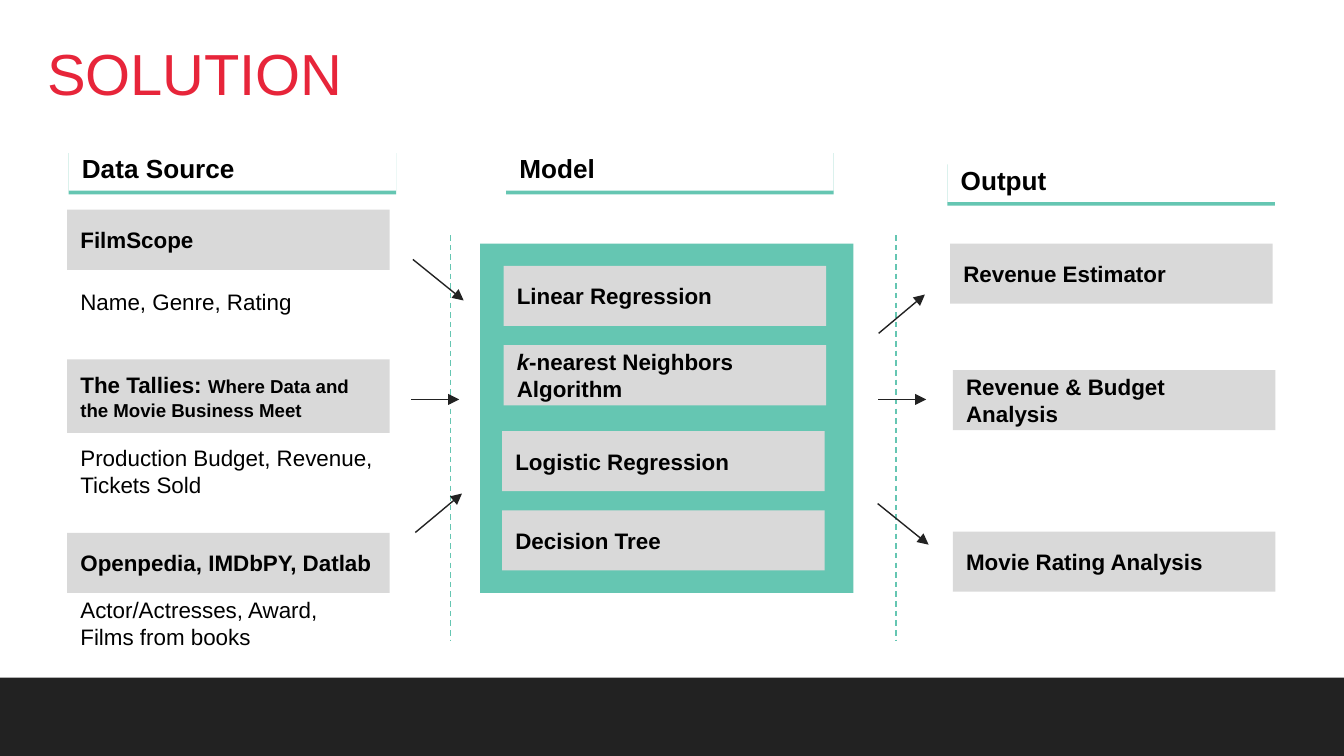
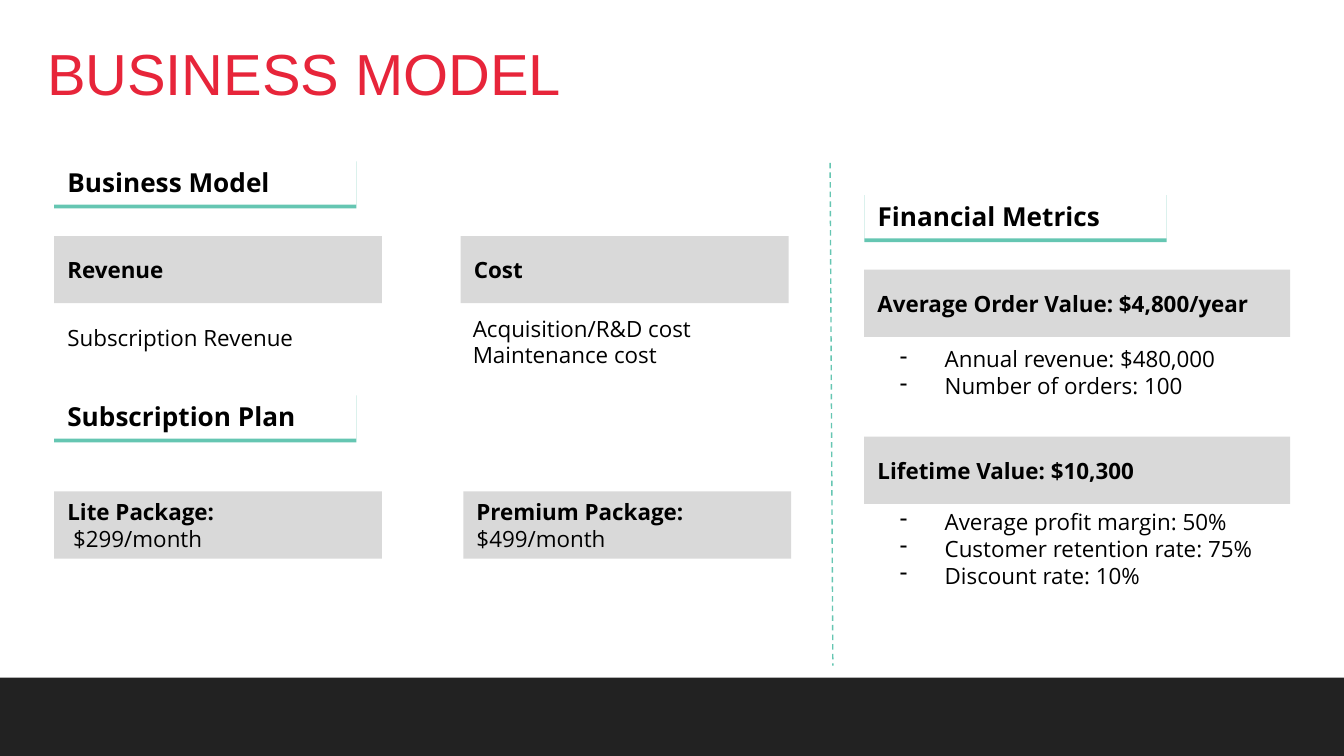
from lxml.etree import SubElement
from pptx import Presentation
from pptx.dml.color import RGBColor
from pptx.enum.dml import MSO_LINE_DASH_STYLE as Dash
from pptx.enum.shapes import MSO_CONNECTOR_TYPE as Link, MSO_SHAPE as Shape
from pptx.enum.text import MSO_ANCHOR as Anchor, MSO_AUTO_SIZE as Fit, PP_ALIGN as Align
from pptx.oxml.ns import qn
from pptx.util import Pt

RED, TEAL, GREY, DARK, WHITE, BLACK = "E7253A", "65C6B2", "D9D9D9", "222222", "FFFFFF", "000000"
WIDTH, HEIGHT = 720, 405


def color(code):
    """Turn a hex string into a colour."""
    return RGBColor.from_string(code)


class SlideBuilder:
    """Holds the shared style and the slide being built."""

    def __init__(self, deck):
        """Choose the title-only layout and the starting style."""
        self.deck = deck
        self.layout = deck.slide_layouts[5]
        self.page = None
        self.font = "Arial"
        self.band_pending = True

    def start(self, title, font):
        """Add a slide with its title and choose its body font."""
        self.page = self.deck.slides.add_slide(self.layout)
        if self.band_pending:
            band = self.block((-0.5, 363, WIDTH + 1, 42.5), DARK)
            self.layout.shapes.element.insert(2, band.element)
            self.band_pending = False
        box = self.page.shapes.title
        box.left, box.top, box.width, box.height = map(Pt, (22.3, 24.5, 675.4, 30.2))
        self.font = "Arial"
        self.set_text(box, [title], 31, code=RED, anchor=Anchor.TOP, inset=(2.9, 2.9))
        box.text_frame.paragraphs[0].line_spacing = 0.8
        self.font = font

    def set_text(self, box, paragraphs, size, bold=False, code=BLACK,
                 anchor=Anchor.MIDDLE, inset=(7.2, 7.2), dashes=False):
        """Fill a box with paragraphs, each a string or a list of (text, changes)."""
        frame = box.text_frame
        side, edge = map(Pt, inset)
        frame_format = {"word_wrap": True, "auto_size": Fit.NONE, "vertical_anchor": anchor,
                        "margin_left": side, "margin_right": side,
                        "margin_top": edge, "margin_bottom": edge}
        for name, value in frame_format.items():
            setattr(frame, name, value)
        for index, content in enumerate(paragraphs):
            para = frame.add_paragraph() if index else frame.paragraphs[0]
            para.alignment = Align.LEFT
            runs = [(content, {})] if isinstance(content, str) else content
            for text, changes in runs:
                span = para.add_run()
                span.text = text
                span.font.color.rgb = color(code)
                run_format = {"name": self.font, "size": Pt(size), "bold": bold} | changes
                for name, value in run_format.items():
                    setattr(span.font, name, value)
            if dashes:
                self.dash_bullet(para)

    def dash_bullet(self, para):
        """Give a paragraph a hanging dash."""
        props = para._p.get_or_add_pPr()
        props.set("marL", str(Pt(36)))
        props.set("indent", str(Pt(-24)))
        SubElement(SubElement(props, qn("a:buClr")), qn("a:srgbClr"), val=BLACK)
        SubElement(props, qn("a:buChar"), char="-")

    def block(self, place, fill):
        """Draw a plain filled rectangle."""
        box = self.page.shapes.add_shape(Shape.RECTANGLE, *map(Pt, place))
        box.shadow.inherit = False
        box.fill.solid()
        box.fill.fore_color.rgb = color(fill)
        box.line.fill.background()
        return box

    def card(self, place, *paragraphs):
        """Draw a grey card with bold text."""
        self.set_text(self.block(place, GREY), paragraphs, 12, bold=True)

    def heading(self, place, text):
        """Draw a section heading underlined by its hard teal shadow."""
        box = self.block(place, WHITE)
        effects = box.element.spPr.find(qn("a:effectLst"))
        shadow = SubElement(effects, qn("a:outerShdw"), blurRad="0", dist=str(Pt(2)),
                            dir="5400000", algn="bl", rotWithShape="0")
        SubElement(shadow, qn("a:srgbClr"), val=TEAL)
        self.set_text(box, [text], 14, bold=True, anchor=Anchor.BOTTOM, inset=(7.2, 3.6))

    def note(self, place, *paragraphs, dashes=False):
        """Add plain text without a fill."""
        box = self.page.shapes.add_textbox(*map(Pt, place))
        self.set_text(box, paragraphs, 12, dashes=dashes)

    def line(self, ends, code):
        """Draw a thin straight line and return it with its outline element."""
        connector = self.page.shapes.add_connector(Link.STRAIGHT, *map(Pt, ends))
        connector.line.color.rgb = color(code)
        connector.line.width = Pt(0.75)
        props = connector.element.spPr
        SubElement(props, qn("a:effectLst"))
        return connector, props.find(qn("a:ln"))

    def divider(self, *ends):
        """Draw a dashed teal divider."""
        connector, _ = self.line(ends, TEAL)
        connector.line.dash_style = Dash.DASH

    def arrow(self, *ends):
        """Draw a dark arrow."""
        _, outline = self.line(ends, DARK)
        SubElement(outline, qn("a:tailEnd"), type="triangle")


def build_solution(slide):
    """Build the flow from data sources through models to outputs."""
    slide.start("SOLUTION", "Arial")
    slide.block((257.2, 130.5, 200, 187.2), TEAL)
    for left, top, text in [(36.8, 80, "Data Source"), (271.2, 80, "Model"), (507.6, 86, "Output")]:
        slide.heading((left, top, 175.4, 22.2), text)

    tagline = ("Where Data and the Movie Business Meet", {"size": Pt(10)})
    sources = [
        (112.4, 32.2, "FilmScope", 147.8, 27, "Name, Genre, Rating"),
        (192.5, 39.5, [("The Tallies: ", {}), tagline],
         236.3, 32.2, "Production Budget, Revenue, Tickets Sold"),
        (285.5, 32.2, "Openpedia, IMDbPY, Datlab",
         317.8, 32.2, "Actor/Actresses, Award, Films from books"),
    ]
    for top, height, name, note_top, note_height, fields in sources:
        slide.card((36, top, 172.8, height), name)
        slide.note((36, note_top, 172.8, note_height), fields)

    neighbors = [("k", {"italic": True}), ("-nearest Neighbors Algorithm", {})]
    cards = [
        (269.8, 142.5, "Linear Regression"), (269.8, 185, neighbors),
        (269, 231, "Logistic Regression"), (269, 273.5, "Decision Tree"),
        (509, 130.5, "Revenue Estimator"), (510.5, 198.3, "Revenue & Budget Analysis"),
        (510.5, 284.8, "Movie Rating Analysis"),
    ]
    for left, top, text in cards:
        slide.card((left, top, 172.8, 32.2), text)

    for x in (241.5, 480):
        slide.divider(x, 126, x, 343.4)
    arrows = [
        (221.2, 139, 248.4, 161), (220.2, 214, 246, 214), (222.5, 285.3, 247.5, 264.4),
        (470.7, 178.6, 495.5, 157.8), (470.4, 214, 496.2, 214), (470.2, 269.8, 497.5, 291.8),
    ]
    for ends in arrows:
        slide.arrow(*ends)


def build_business_model(slide):
    """Build the revenue, plan and metrics overview."""
    slide.start("BUSINESS MODEL", "Open Sans")
    slide.divider(444.7, 87.2, 446.2, 356.6)
    for left, top, text in [(29, 84.5, "Business Model"), (29, 209.8, "Subscription Plan"),
                            (463, 102.5, "Financial Metrics")]:
        slide.heading((left, top, 162, 25.2), text)

    plain = {"bold": False}
    cards = [
        (29, 126.5, 175.7, ["Revenue"]),
        (246.8, 126.5, 175.7, ["Cost"]),
        (29, 263.3, 175.7, ["Lite Package:", [(" $299/month", plain)]]),
        (248.2, 263.3, 175.7, ["Premium Package:", [("$499/month", plain)]]),
        (463, 144.5, 228.2, ["Average Order Value: $4,800/year"]),
        (463, 234, 228.2, ["Lifetime Value: $10,300"]),
    ]
    for left, top, width, lines in cards:
        slide.card((left, top, width, 36), *lines)

    slide.note((29, 163, 157.7, 36), "Subscription Revenue")
    slide.note((246.2, 165, 157.7, 36), "Acquisition/R&D cost", "Maintenance cost")
    slide.note((463, 184.3, 228.2, 30.2), "Annual revenue: $480,000", "Number of orders: 100",
               dashes=True)
    slide.note((463, 260, 228.2, 67.7), "Average profit margin: 50%",
               "Customer retention rate: 75%", "Discount rate: 10%", dashes=True)


def main():
    """Build and save the deck."""
    deck = Presentation()
    deck.slide_width, deck.slide_height = Pt(WIDTH), Pt(HEIGHT)
    slide = SlideBuilder(deck)
    build_solution(slide)
    build_business_model(slide)
    deck.save("out.pptx")


if __name__ == "__main__":
    main()
